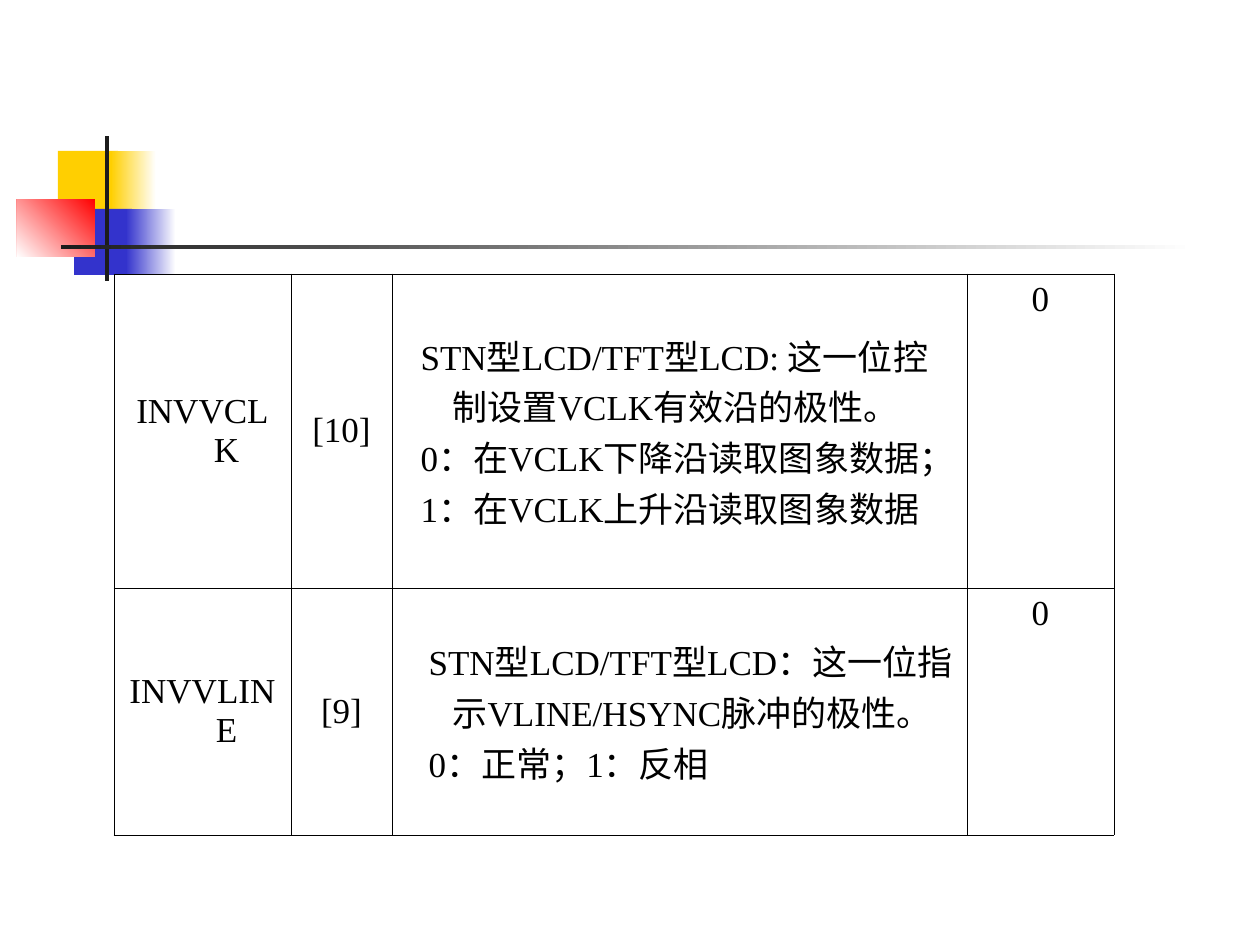
from lxml import etree
from pptx import Presentation
from pptx import util as u
from pptx.dml.color import RGBColor
from pptx.enum import shapes, text
from pptx.oxml import ns

PX = 914400 / 126
WHITE = RGBColor(0xFF, 0xFF, 0xFF)
BLACK = RGBColor(0, 0, 0)
YELLOW = RGBColor(0xFF, 0xCF, 0x01)
BLUE = RGBColor(0x33, 0x33, 0xCC)
RED = RGBColor(0xFF, 0, 0)
INK = RGBColor(0x1C, 0x1C, 0x1C)
FONT = "Times New Roman"

COLS = (177, 101, 575, 147)
ROWS = (314, 247)
FIELDS = (
    ("INVVCLK", "[10]",
     ("STN型LCD/TFT型LCD: 这一位控制设置VCLK有效沿的极性。",
      "0：在VCLK下降沿读取图象数据；",
      "1：在VCLK上升沿读取图象数据"), -32, "0"),
    ("INVVLINE", "[9]",
     ("STN型LCD/TFT型LCD：这一位指示VLINE/HSYNC脉冲的极性。",
      "0：正常；1：反相"), -24, "0"),
)


def px(n):
    """Turn px into EMU."""
    return u.Emu(round(n * PX))


def block(s, x, y, w, h, *colors, angle=180):
    """Draw a borderless rectangle, solid or with a two-colour gradient."""
    sp = s.shapes.add_shape(shapes.MSO_SHAPE.RECTANGLE, px(x), px(y), px(w), px(h))
    sp.shadow.inherit = False
    sp.line.fill.background()
    if len(colors) == 1:
        sp.fill.solid()
        sp.fill.fore_color.rgb = colors[0]
        return
    sp.fill.gradient()
    sp.fill.gradient_angle = angle
    for stop, color, position in zip(sp.fill.gradient_stops, colors, (0, 1)):
        stop.color.rgb = color
        stop.position = position


def write(tf, lines, size=20, color=BLACK, align=text.PP_ALIGN.LEFT, hang=-48):
    """Write paragraphs with a hanging indent."""
    for i, line in enumerate(lines):
        p = tf.add_paragraph() if i else tf.paragraphs[0]
        p.alignment = align
        pPr = p._p.get_or_add_pPr()
        pPr.set("marL", str(px(48)))
        pPr.set("indent", str(px(hang)))
        r = p.add_run()
        r.text = line
        r.font.name = FONT
        r.font.size = u.Pt(size)
        r.font.color.rgb = color


def outline(cell, color=BLACK, width=0.45):
    """Draw the four borders of a cell and clear its fill."""
    tcPr = cell._tc.get_or_add_tcPr()
    for side in ("lnL", "lnR", "lnT", "lnB"):
        ln = etree.SubElement(tcPr, ns.qn("a:" + side), w=str(u.Pt(width)))
        fill = etree.SubElement(ln, ns.qn("a:solidFill"))
        etree.SubElement(fill, ns.qn("a:srgbClr"), val=str(color))
    cell.fill.background()


def ornament(s, x, y, w):
    """Draw the coloured squares and the crossing rules."""
    block(s, x + 41, y + 15, 60, 66, YELLOW)
    block(s, x + 94, y + 15, 45, 66, WHITE, YELLOW)
    block(s, x + 57, y + 73, 58, 66, BLUE)
    block(s, x + 109, y + 73, 50, 66, WHITE, BLUE)
    block(s, x, y + 63, 78, 58, RED, WHITE, angle=225)
    block(s, x + 88, y, 4, 145, INK)
    block(s, x + 44, y + 109, w - 44, 4, WHITE, INK)


def register_table(s, x, y):
    """Place the table of register fields."""
    table = s.shapes.add_table(len(ROWS), len(COLS), px(x), px(y),
                               px(sum(COLS)), px(sum(ROWS))).table
    table.first_row = table.horz_banding = False
    for column, w in zip(table.columns, COLS):
        column.width = px(w)
    for row, h, (name, bit, notes, hang, initial) in zip(table.rows, ROWS, FIELDS):
        row.height = px(h)
        for i, lines in enumerate(([name], [bit], notes, [initial])):
            cell = row.cells[i]
            outline(cell)
            cell.vertical_anchor = text.MSO_ANCHOR.TOP if i == 3 else text.MSO_ANCHOR.MIDDLE
            if i == 2:
                write(cell.text_frame, lines, hang=hang)
            else:
                write(cell.text_frame, lines, align=text.PP_ALIGN.CENTER)


def main():
    """Build and save the slide."""
    prs = Presentation()
    prs.slide_width, prs.slide_height = px(1260), px(945)
    s = prs.slides.add_slide(prs.slide_layouts[6])
    ornament(s, 17, 136, 1178)
    register_table(s, 114, 274)
    prs.save("out.pptx")


if __name__ == "__main__":
    main()
